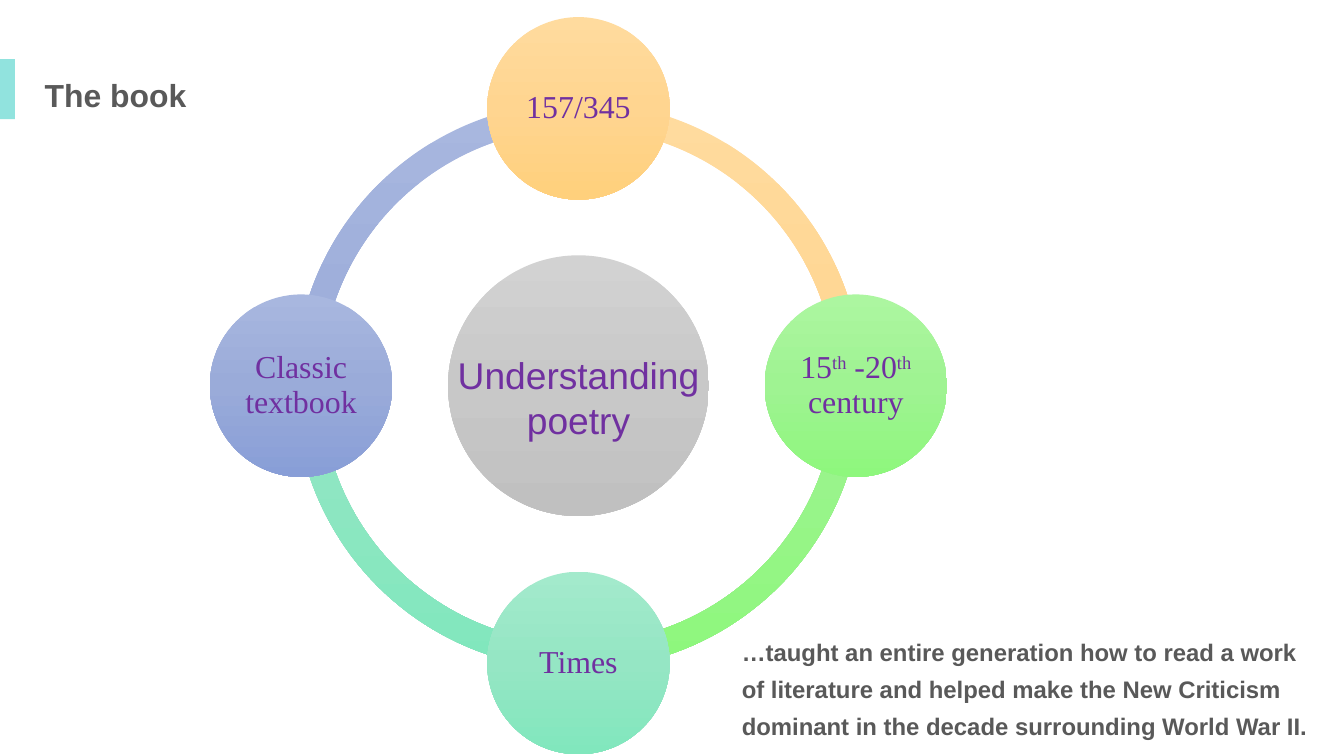
from copy import deepcopy

from pptx import Presentation
from pptx.dml.color import RGBColor
from pptx.enum.shapes import MSO_SHAPE as Preset
from pptx.enum.text import MSO_ANCHOR as Anchor, MSO_AUTO_SIZE as AutoSize, PP_ALIGN as Align
from pptx.oxml.ns import qn
from pptx.util import Cm, Pt

# Colours
PURPLE = RGBColor(0x70, 0x30, 0xA0)
DARK_GREY = RGBColor(0x59, 0x59, 0x59)
TURQUOISE = RGBColor(0x91, 0xE3, 0xDE)
ORANGES = RGBColor(0xFF, 0xDB, 0x9E), RGBColor(0xFF, 0xD5, 0x90), RGBColor(0xFF, 0xD0, 0x7C)
GREENS = RGBColor(0xAC, 0xF6, 0xA0), RGBColor(0x9F, 0xF3, 0x92), RGBColor(0x8E, 0xF7, 0x7D)
MINTS = RGBColor(0xA3, 0xEA, 0xCC), RGBColor(0x95, 0xE6, 0xC4), RGBColor(0x81, 0xE7, 0xBD)
BLUES = RGBColor(0xA8, 0xB7, 0xDF), RGBColor(0x9A, 0xAB, 0xD9), RGBColor(0x88, 0x9E, 0xD7)
GREYS = RGBColor(0xD2, 0xD2, 0xD2), RGBColor(0xC8, 0xC8, 0xC8), RGBColor(0xC0, 0xC0, 0xC0)

# Geometry of the cycle, in centimetres
CENTRE_X, CENTRE_Y = 15.37, 10.25
RING_SIZE, HUB_SIZE, NODE_SIZE = 15.08, 6.93, 4.85
ORBIT = 7.37
RING_THICKNESS = 0.046
QUARTER_TURN = 54  # 90 degrees in adjustment units

# Clockwise from the top: direction, colours, text runs as (text, is superscript)
NODES = [
    ((0, -1), ORANGES, [("157/345", False)]),
    ((1, 0), GREENS, [("15", False), ("th", True), (" -20", False),
                      ("th", True), (" century", False)]),
    ((0, 1), MINTS, [("Times", False)]),
    ((-1, 0), BLUES, [("Classic textbook", False)]),
]


def add_run(paragraph, text, font_name, size, color, bold=False, superscript=False):
    run = paragraph.add_run()
    run.text = text
    run.font.name = font_name
    run.font.size = Pt(size)
    run.font.color.rgb = color
    run.font.bold = bold
    if superscript:
        run.font._element.set("baseline", "30000")


def add_text(slide, box, text, size, color, bold=False, wrap=True,
             align=Align.LEFT, line_spacing=1.0):
    frame = slide.shapes.add_textbox(*map(Cm, box)).text_frame
    frame.word_wrap = wrap
    frame.auto_size = AutoSize.SHAPE_TO_FIT_TEXT
    paragraph = frame.paragraphs[0]
    paragraph.alignment = align
    paragraph.line_spacing = line_spacing
    add_run(paragraph, text, "Arial", size, color, bold)


def fill_gradient(shape, colors):
    """Fill from top to bottom with three evenly spaced colours."""
    shape.fill.gradient()
    shape.fill.gradient_angle = 270
    stop_list = shape.element.spPr.find(".//" + qn("a:gsLst"))
    stop_list.insert(1, deepcopy(stop_list[0]))
    for index, (stop, color) in enumerate(zip(shape.fill.gradient_stops, colors)):
        stop.position = index / 2
        stop.color.rgb = color


def add_round(slide, preset, x, y, size, colors):
    """Add a round shape centred on x, y."""
    shape = slide.shapes.add_shape(
        preset, Cm(x - size / 2), Cm(y - size / 2), Cm(size), Cm(size))
    shape.shadow.inherit = False
    shape.line.fill.background()
    fill_gradient(shape, colors)
    return shape


def add_arc(slide, start, colors):
    arc = add_round(slide, Preset.BLOCK_ARC, CENTRE_X, CENTRE_Y, RING_SIZE, colors)
    arc.adjustments[0] = start
    arc.adjustments[1] = (start + QUARTER_TURN) % (4 * QUARTER_TURN)
    arc.adjustments[2] = RING_THICKNESS


def add_node(slide, direction, colors, runs):
    x, y = CENTRE_X + ORBIT * direction[0], CENTRE_Y + ORBIT * direction[1]
    frame = add_round(slide, Preset.OVAL, x, y, NODE_SIZE, colors).text_frame
    frame.word_wrap = True
    frame.vertical_anchor = Anchor.MIDDLE
    frame.margin_left = frame.margin_right = Cm(0.08)
    frame.margin_top = frame.margin_bottom = Cm(0.08)
    paragraph = frame.paragraphs[0]
    paragraph.alignment = Align.CENTER
    paragraph.line_spacing = 0.9
    for text, superscript in runs:
        add_run(paragraph, text, "Times New Roman", 24, PURPLE, superscript=superscript)


def add_title_bar(slide):
    bar = slide.shapes.add_shape(Preset.RECTANGLE, Cm(-0.05), Cm(1.57), Cm(0.45), Cm(1.6))
    bar.shadow.inherit = False
    bar.fill.solid()
    bar.fill.fore_color.rgb = TURQUOISE
    bar.line.fill.background()


def main():
    presentation = Presentation()
    presentation.slide_width, presentation.slide_height = Cm(35.71), Cm(20.09)
    slide = presentation.slides.add_slide(presentation.slide_layouts[6])

    # Remark
    add_text(slide, (19.46, 16.59, 15.72, 3.25),
             "…taught an entire generation how to read a work of literature and helped "
             "make the New Criticism dominant in the decade surrounding World War II.",
             18, DARK_GREY, bold=True, line_spacing=1.3)

    # Ring, hub and nodes; each arc starts at the node of its colour
    for index, (_, colors, _) in enumerate(NODES):
        add_arc(slide, (index + 3) % 4 * QUARTER_TURN, colors)
    add_round(slide, Preset.OVAL, CENTRE_X, CENTRE_Y, HUB_SIZE, GREYS)
    for direction, colors, runs in NODES:
        add_node(slide, direction, colors, runs)

    # Title
    add_title_bar(slide)
    add_text(slide, (0.94, 1.57, 4.32, 1.45), "The book", 24, DARK_GREY,
             bold=True, wrap=False, line_spacing=1.3)

    # Hub label, wider than the hub
    add_text(slide, (10.67, 9.25, 9.4, 2.64), "Understanding poetry", 28, PURPLE,
             align=Align.CENTER)

    presentation.save("out.pptx")


main()
